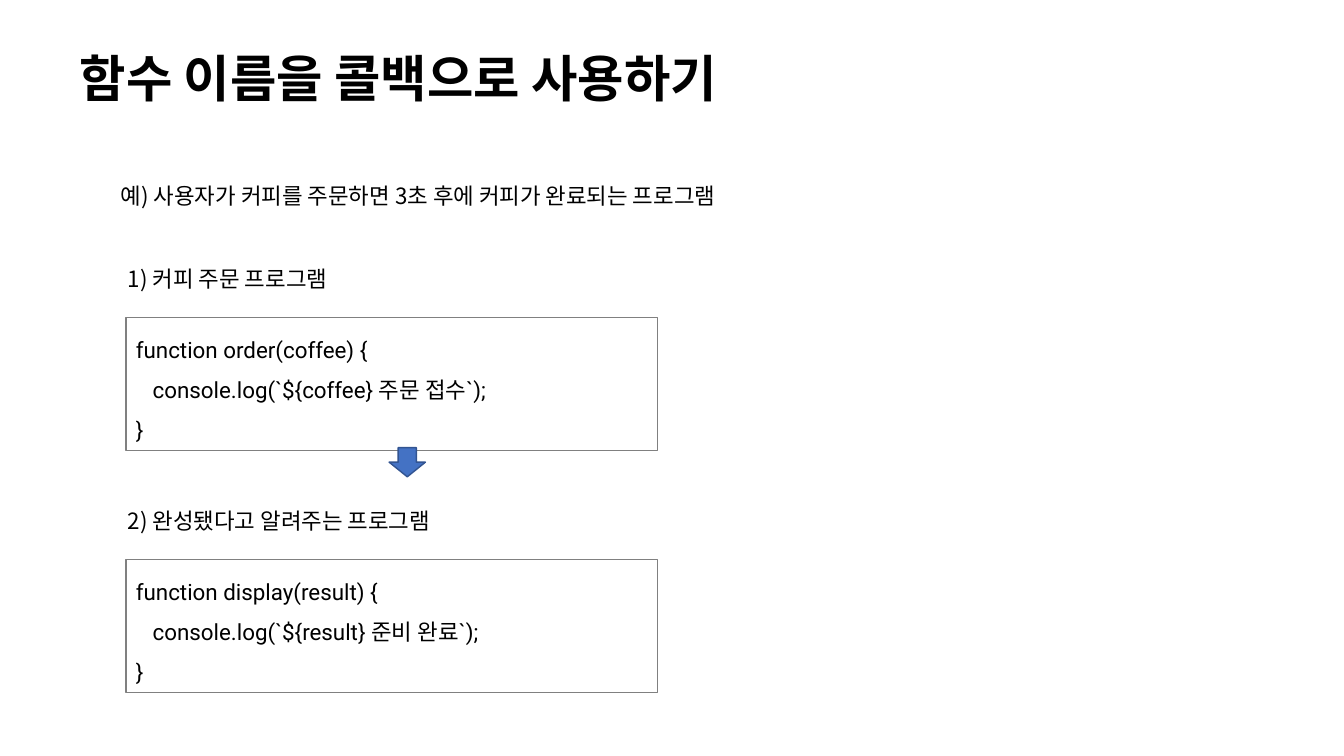
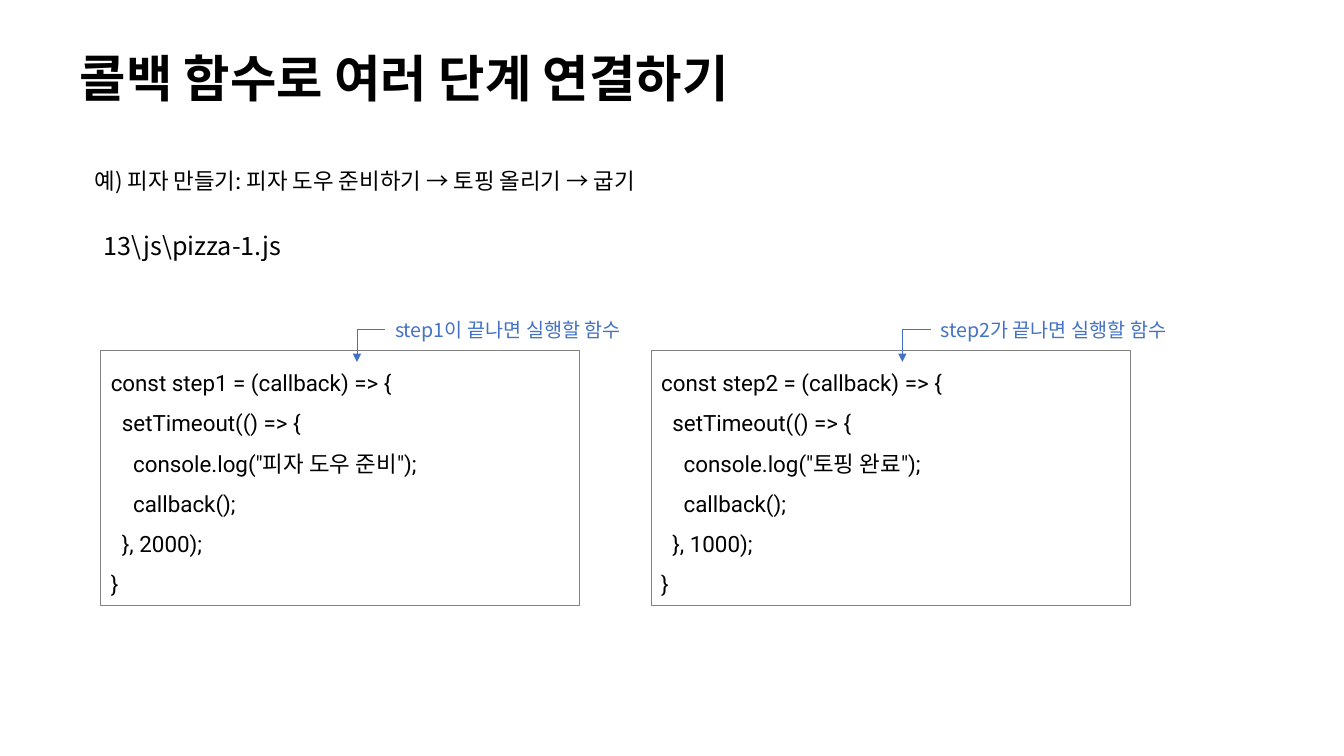
from pptx import Presentation
from pptx.dml.color import RGBColor
from pptx.enum import shapes, text
from pptx.oxml import parse_xml
from pptx.oxml.ns import nsdecls, qn
from pptx.util import Inches, Pt
from lxml import etree

# Shared style
KOREAN, CODE = "Noto Sans CJK KR", "Roboto"
BLACK, GRAY, BLUE, DARK_BLUE = "000000", "808080", "4472C4", "325491"
SPACE = Pt(4)  # indent for one leading space of code


def rgb(value):
    return RGBColor.from_string(value)


def write(tf, content, font=KOREAN, size=16, color=BLACK, bold=False, spacing=1.0):
    """Fill a text frame; leading spaces become a paragraph indent."""
    for i, line in enumerate(content.split("\n")):
        p = tf.paragraphs[0] if i == 0 else tf.add_paragraph()
        p.alignment = text.PP_ALIGN.LEFT
        p.line_spacing = spacing
        code = line.lstrip(" ")
        p._p.get_or_add_pPr().set("marL", str(SPACE * (len(line) - len(code))))
        r = p.add_run()
        r.text = code
        r.font.name, r.font.size, r.font.bold = font, Pt(size), bold
        r.font.color.rgb = rgb(color)
        ea = etree.SubElement(r._r.get_or_add_rPr(), qn("a:ea"))
        ea.set("typeface", font)


def add_slide(prs, title):
    slide = prs.slides.add_slide(prs.slide_layouts.get_by_name("Title Only"))
    write(slide.shapes.title.text_frame, title, size=36, bold=True, spacing=0.9)
    return slide


def add_label(slide, x, y, w, h, content, wrap=True, **style):
    sp = slide.shapes.add_textbox(Inches(x), Inches(y), Inches(w), Inches(h))
    sp.text_frame.word_wrap = wrap
    write(sp.text_frame, content, **style)


def add_code(slide, x, y, w, h, code):
    sp = slide.shapes.add_shape(shapes.MSO_SHAPE.RECTANGLE,
                                Inches(x), Inches(y), Inches(w), Inches(h))
    sp.shadow.inherit = False
    sp.fill.background()
    sp.line.color.rgb, sp.line.width = rgb(GRAY), Pt(0.75)
    sp.text_frame.word_wrap = True
    sp.text_frame.vertical_anchor = text.MSO_ANCHOR.TOP
    write(sp.text_frame, code, font=CODE, spacing=1.5)


def add_down_arrow(slide, x, y, w, h):
    sp = slide.shapes.add_shape(shapes.MSO_SHAPE.DOWN_ARROW,
                                Inches(x), Inches(y), Inches(w), Inches(h))
    sp.shadow.inherit = False
    sp.fill.solid()
    sp.fill.fore_color.rgb = rgb(BLUE)
    sp.line.color.rgb, sp.line.width = rgb(DARK_BLUE), Pt(1)


def add_elbow_arrow(slide, x1, y1, x2, y2):
    """Run left from the start, then down to the arrowhead."""
    line = slide.shapes.add_connector(shapes.MSO_CONNECTOR.ELBOW,
                                      Inches(x1), Inches(y1), Inches(x2), Inches(y2))
    line.line.color.rgb, line.line.width = rgb(BLUE), Pt(0.5)
    props = line._element.spPr
    props.find(qn("a:prstGeom")).set("prst", "bentConnector2")
    # A half turn with a vertical flip puts the single bend at the top left
    xfrm = props.find(qn("a:xfrm"))
    xfrm.attrib.pop("flipH", None)
    xfrm.set("rot", "10800000")
    xfrm.set("flipV", "1")
    etree.SubElement(props.find(qn("a:ln")), qn("a:tailEnd")).set("type", "triangle")
    props.append(parse_xml(f"<a:effectLst {nsdecls('a')}/>"))


def add_callout(slide, x, y, content):
    add_label(slide, x, y, 2.79, 0.34, content, wrap=False, size=14, color=BLUE)
    add_elbow_arrow(slide, x, y + 0.17, x - 0.28, y + 0.49)


def coffee_slide(prs):
    slide = add_slide(prs, "함수 이름을 콜백으로 사용하기")
    add_label(slide, 1.1, 1.76, 9.98, 0.37,
              "예) 사용자가 커피를 주문하면 3초 후에 커피가 완료되는 프로그램")
    programs = [
        ("1) 커피 주문 프로그램", "order", "coffee", "주문 접수"),
        ("2) 완성됐다고 알려주는 프로그램", "display", "result", "준비 완료"),
    ]
    for i, (heading, name, arg, message) in enumerate(programs):
        y = 2.58 + 2.4 * i
        add_label(slide, 1.17, y, 7.3, 0.37, heading)
        add_code(slide, 1.25, y + 0.57, 5.27, 1.32,
                 f"function {name}({arg}) {{\n"
                 f"   console.log(`${{{arg}}} {message}`);\n"
                 "}")
    add_down_arrow(slide, 3.86, 4.44, 0.36, 0.29)


def pizza_slide(prs):
    slide = add_slide(prs, "콜백 함수로 여러 단계 연결하기")
    add_label(slide, 0.84, 1.34, 7.99, 0.56,
              "예) 피자 만들기: 피자 도우 준비하기 → 토핑 올리기 → 굽기", spacing=2.0)
    add_label(slide, 0.93, 2.24, 6.52, 0.4, "13\\js\\pizza-1.js", size=18)
    steps = [
        ("step1", "이", "피자 도우 준비", 2000),
        ("step2", "가", "토핑 완료", 1000),
    ]
    for i, (name, particle, message, delay) in enumerate(steps):
        add_code(slide, 1 + 5.46 * i, 3.48, 4.75, 2.53,
                 f"const {name} = (callback) => {{\n"
                 "  setTimeout(() => {\n"
                 f"    console.log(\"{message}\");\n"
                 "    callback();\n"
                 f"  }}, {delay});\n"
                 "}")
        add_callout(slide, 3.82 + 5.41 * i, 3.1, f"{name}{particle} 끝나면 실행할 함수")


def main():
    prs = Presentation()
    prs.slide_width, prs.slide_height = Inches(13.33), Inches(7.5)
    # Title place shared by both slides
    title = prs.slide_layouts.get_by_name("Title Only").placeholders[0]
    title.left, title.top = Inches(0.69), Inches(0.35)
    title.width, title.height = Inches(9.74), Inches(0.92)
    title.text_frame.vertical_anchor = text.MSO_ANCHOR.MIDDLE
    coffee_slide(prs)
    pizza_slide(prs)
    prs.save("out.pptx")


main()
